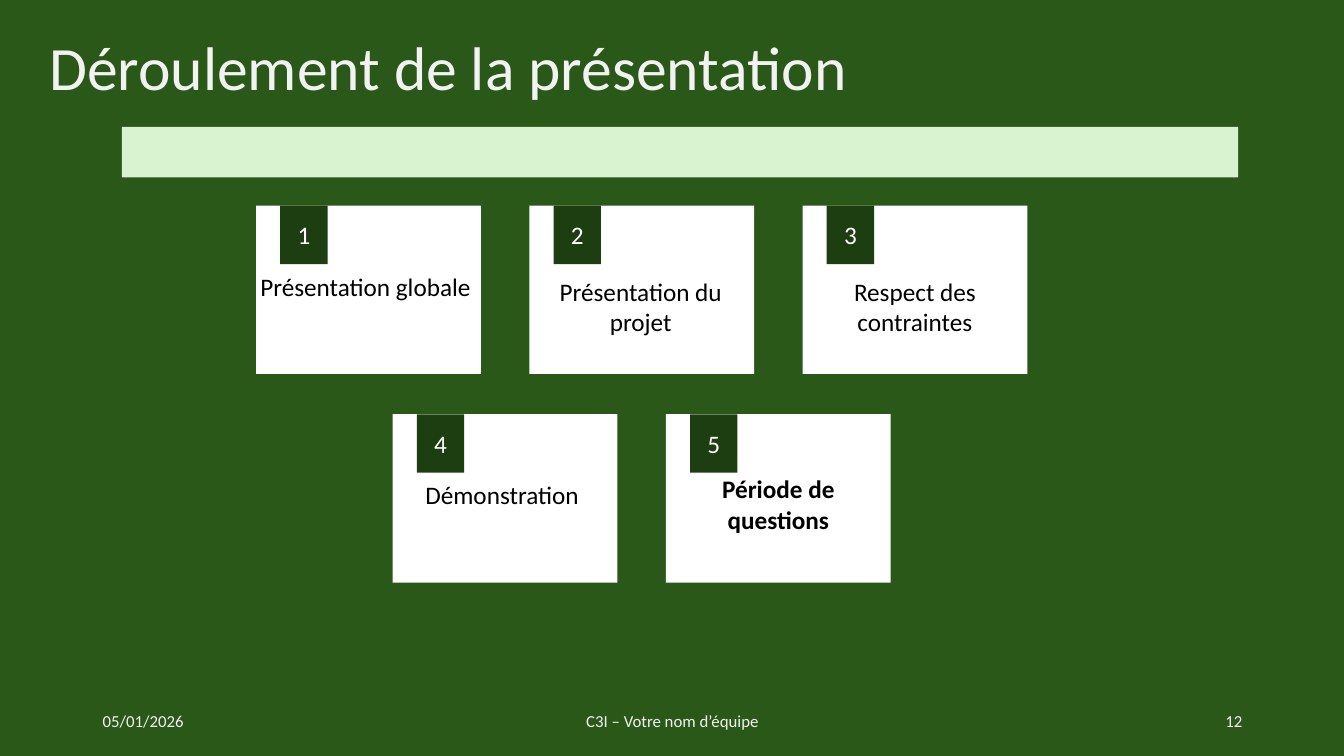
from dataclasses import dataclass

from pptx import Presentation
from pptx.dml.color import RGBColor
from pptx.enum.shapes import MSO_SHAPE
from pptx.enum.text import MSO_ANCHOR, MSO_AUTO_SIZE, PP_ALIGN
from pptx.util import Inches, Pt


@dataclass(frozen=True)
class Theme:
    font: str = "Calibri"
    background: str = "295818"
    pale_text: str = "F2F2F2"
    band: str = "D9F2D0"
    card: str = "FFFFFF"
    badge: str = "1D3E11"
    badge_text: str = "FFFFFF"
    label_text: str = "000000"
    title_size: int = 44
    body_size: int = 18
    footer_size: int = 12


THEME = Theme()
SLIDE_WIDTH, SLIDE_HEIGHT = 13.33, 7.5

CARD_WIDTH, CARD_HEIGHT = 2.23, 1.67
COLUMN_PITCH, ROW_PITCH = 2.71, 2.07
GRID_LEFT, GRID_TOP = 2.54, 2.04

# Column, row, label lines, bold, label offset from the card's corner
STEPS = [
    (0, 0, ["Présentation globale"], False, (-0.03, 0.65)),
    (1, 0, ["Présentation du projet"], False, (-0.01, 0.7)),
    (2, 0, ["Respect des contraintes"], False, (0, 0.7)),
    (0.5, 1, ["Démonstration"], False, (-0.03, 0.65)),
    (1.5, 1, ["Période de", "questions"], True, (0, 0.59)),
]


def write(frame, lines, size, color, align, anchor=MSO_ANCHOR.MIDDLE, bold=False):
    frame.word_wrap = True
    frame.vertical_anchor = anchor
    frame.text = "\n".join(lines)
    for paragraph in frame.paragraphs:
        paragraph.alignment = align
        font = paragraph.font
        font.name, font.size, font.bold = THEME.font, Pt(size), bold
        font.color.rgb = RGBColor.from_string(color)


def add_block(slide, box, color):
    block = slide.shapes.add_shape(MSO_SHAPE.RECTANGLE, *map(Inches, box))
    block.shadow.inherit = False
    block.fill.solid()
    block.fill.fore_color.rgb = RGBColor.from_string(color)
    block.line.fill.background()
    return block


def add_title(slide, box, text):
    title = slide.shapes.title
    title.left, title.top, title.width, title.height = map(Inches, box)
    write(title.text_frame, [text], THEME.title_size, THEME.pale_text, PP_ALIGN.LEFT)
    title.text_frame.auto_size = MSO_AUTO_SIZE.NONE
    title.text_frame.paragraphs[0].line_spacing = 0.9


def add_step(slide, box, number, lines, bold, offset):
    left, top, width, height = box
    add_block(slide, box, THEME.card)
    badge = add_block(slide, (left + 0.24, top, 0.47, 0.58), THEME.badge)
    write(badge.text_frame, [str(number)], THEME.body_size, THEME.badge_text,
          PP_ALIGN.CENTER)

    label_box = (left + offset[0], top + offset[1], width, 0.61)
    label = slide.shapes.add_textbox(*map(Inches, label_box)).text_frame
    label.margin_left = label.margin_right = label.margin_top = label.margin_bottom = 0
    write(label, lines, THEME.body_size, THEME.label_text, PP_ALIGN.CENTER,
          MSO_ANCHOR.TOP, bold)


def add_steps(slide, left, top):
    for number, (column, row, lines, bold, offset) in enumerate(STEPS, 1):
        box = (left + column * COLUMN_PITCH, top + row * ROW_PITCH,
               CARD_WIDTH, CARD_HEIGHT)
        add_step(slide, box, number, lines, bold, offset)


def add_footer(slide, box):
    left, top, width, height = box
    parts = [
        ("05/01/2026", left, 3, PP_ALIGN.LEFT),
        ("C3I – Votre nom d’équipe", left + (width - 4.5) / 2, 4.5, PP_ALIGN.CENTER),
        ("12", left + width - 3, 3, PP_ALIGN.RIGHT),
    ]
    for text, part_left, part_width, align in parts:
        part = slide.shapes.add_textbox(
            *map(Inches, (part_left, top, part_width, height)))
        write(part.text_frame, [text], THEME.footer_size, THEME.pale_text, align)


def main():
    deck = Presentation()
    deck.slide_width, deck.slide_height = Inches(SLIDE_WIDTH), Inches(SLIDE_HEIGHT)
    slide = deck.slides.add_slide(deck.slide_layouts.get_by_name("Title Only"))
    slide.background.fill.solid()
    slide.background.fill.fore_color.rgb = RGBColor.from_string(THEME.background)

    add_title(slide, (0.39, 0.22, 11.5, 0.96), "Déroulement de la présentation")
    add_block(slide, (1.21, 1.26, 11.07, 0.5), THEME.band)
    add_steps(slide, GRID_LEFT, GRID_TOP)
    add_footer(slide, (0.92, 6.95, 11.5, 0.4))
    deck.save("out.pptx")


if __name__ == "__main__":
    main()
